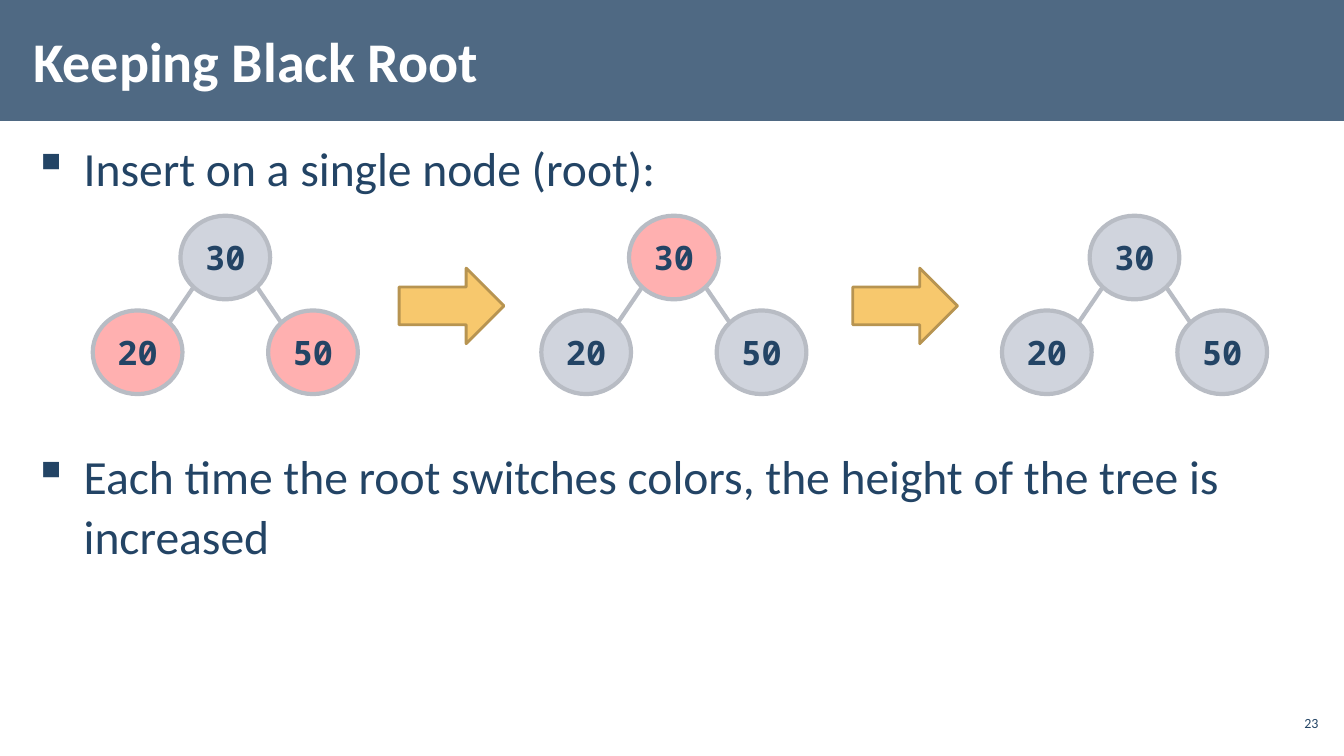
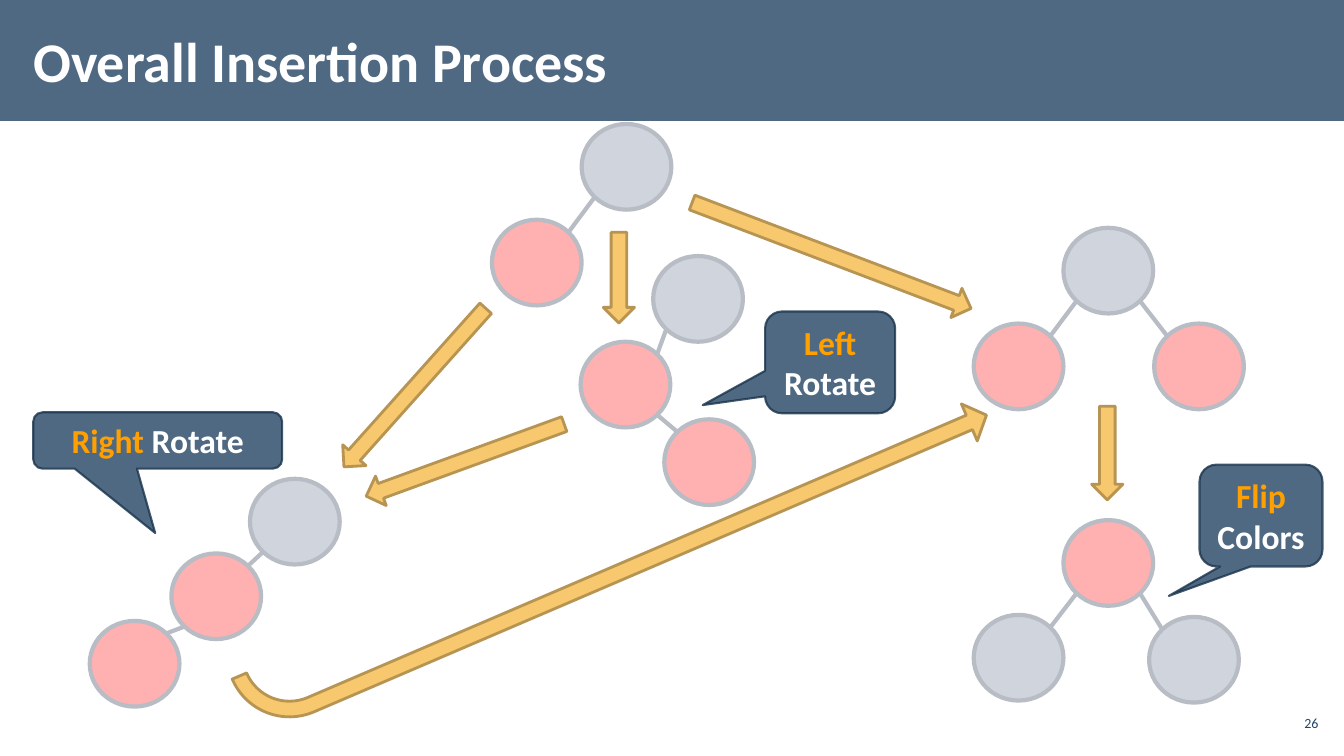
from lxml import etree
from pptx import Presentation
from pptx import util as u
from pptx.dml.color import RGBColor
from pptx.enum import shapes, text
from pptx.oxml.ns import qn

PX = 9144  # 100 px to the inch
DIAGONAL = 0.707  # where a circle meets its 45 degree radius
COLORS = {
    "navy": "234465", "navy_edge": "1A334C", "white": "FFFFFF",
    "red": "FFB0B0", "black": "A3ABBC", "node_edge": "B8BCC4",
    "arrow": "F7C86D", "arrow_edge": "B79451", "accent": "FFA000",
}
FONTS = {
    "title": dict(name="Calibri", size=u.Pt(40), bold=True),
    "body": dict(name="Calibri", size=u.Pt(34)),
    "page": dict(name="Calibri", size=u.Pt(10)),
    "key": dict(name="Noto Sans Mono", size=u.Pt(24), bold=True),
    "callout": dict(name="Calibri", size=u.Pt(24), bold=True),
}
MARGINS = {
    "wide": dict(margin_left=12, margin_right=12, margin_top=4, margin_bottom=4),
    "tight": dict(margin_left=4, margin_right=4, margin_top=4, margin_bottom=4),
}
ALPHA = {"black": 50, "navy": 80, "navy_edge": 80}
MIDDLE = text.MSO_ANCHOR.MIDDLE
KIND = shapes.MSO_SHAPE


def emu(*lengths):
    return [u.Emu(round(length * PX)) for length in lengths]


def apply(target, values):
    for name, value in values.items():
        setattr(target, name, value)


def paint(fill, color):
    """Fill solidly, with the transparency that belongs to the colour."""
    fill.solid()
    fill.fore_color.rgb = RGBColor.from_string(COLORS[color])


def add_alpha(shape, colors):
    for color_xml in shape._element.spPr.iter(qn("a:srgbClr")):
        for color in colors:
            if color in ALPHA and color_xml.get("val") == COLORS[color]:
                alpha = etree.SubElement(color_xml, qn("a:alpha"))
                alpha.set("val", str(ALPHA[color] * 1000))


def add_figure(slide, kind, box, fill, edge=None, width=0):
    figure = slide.shapes.add_shape(kind, *emu(*box))
    figure.shadow.inherit = False
    paint(figure.fill, fill)
    if edge:
        paint(figure.line.fill, edge)
        figure.line.width = u.Pt(width)
    else:
        figure.line.fill.background()
    add_alpha(figure, [fill, edge])
    return figure


def add_run(paragraph, words, font, color):
    run = paragraph.add_run()
    run.text = words
    apply(run.font, FONTS[font])
    run.font.color.rgb = RGBColor.from_string(COLORS[color])


def add_frame(slide, box, margins, **values):
    frame = slide.shapes.add_textbox(*emu(*box)).text_frame
    frame.word_wrap = True
    apply(frame, {side: emu(px)[0] for side, px in MARGINS[margins].items()})
    apply(frame, values)
    return frame


def add_slide(deck, title, page):
    slide = deck.slides.add_slide(deck.slide_layouts[6])
    add_figure(slide, KIND.RECTANGLE, (0, 0, 1333.33, 120), "navy")
    heading = add_frame(slide, (21, 11, 1040, 97), "wide", vertical_anchor=MIDDLE)
    add_run(heading.paragraphs[0], title, "title", "white")
    number = add_frame(slide, (1265, 700, 47, 34), "tight", vertical_anchor=MIDDLE)
    number.paragraphs[0].alignment = text.PP_ALIGN.RIGHT
    add_run(number.paragraphs[0], str(page), "page", "navy")
    return slide


def add_bullets(slide, box, bullets):
    """Place (words, points of space before) pairs as a bulleted list."""
    frame = add_frame(slide, box, "wide")
    for index, (words, before) in enumerate(bullets):
        paragraph = frame.add_paragraph() if index else frame.paragraphs[0]
        apply(paragraph, dict(line_spacing=1.05, space_before=u.Pt(before),
                              space_after=u.Pt(6)))
        properties = paragraph._p.get_or_add_pPr()
        properties.set("marL", str(50 * PX))
        properties.set("indent", str(-50 * PX))
        etree.SubElement(properties, qn("a:buChar")).set("char", "▪")
        add_run(paragraph, words, "body", "navy")


def add_edge(slide, parent, child, size):
    """Join a parent's lower corner to the facing upper corner of its child."""
    side = 1 if child[0] > parent[0] else -1
    width, height = size
    reach_x, reach_y = side * DIAGONAL * width / 2, DIAGONAL * height / 2
    start = (parent[0] + width / 2 + reach_x, parent[1] + height / 2 + reach_y)
    end = (child[0] + width / 2 - reach_x, child[1] + height / 2 - reach_y)
    edge = slide.shapes.add_connector(shapes.MSO_CONNECTOR.STRAIGHT, *emu(*start, *end))
    paint(edge.line.fill, "node_edge")
    edge.line.width = u.Pt(3)
    etree.SubElement(edge._element.spPr, qn("a:effectLst"))


def add_tree(slide, origin, nodes, edges, size):
    """Draw nodes (x, y, colour, key) and edges (parent, child) from an origin."""
    places = [(origin[0] + x, origin[1] + y) for x, y, _, _ in nodes]
    for parent, child in edges:
        add_edge(slide, places[parent], places[child], size)
    for place, (_, _, color, key) in zip(places, nodes):
        node = add_figure(slide, KIND.OVAL, (*place, *size), color, "node_edge", 3)
        if key:
            frame = node.text_frame
            apply(frame, dict(word_wrap=False, vertical_anchor=MIDDLE))
            frame.paragraphs[0].alignment = text.PP_ALIGN.CENTER
            add_run(frame.paragraphs[0], key, "key", "navy")


def add_arrow(slide, box, rotation=0, kind=KIND.RIGHT_ARROW):
    arrow = add_figure(slide, kind, box, "arrow", "arrow_edge", 2)
    arrow.rotation = rotation
    return arrow


def add_callout(slide, box, tip, lines):
    callout = add_figure(slide, KIND.ROUNDED_RECTANGULAR_CALLOUT, box,
                         "navy", "navy_edge", 1.5)
    callout.adjustments[0], callout.adjustments[1] = tip
    frame = callout.text_frame
    apply(frame, dict(word_wrap=True, vertical_anchor=MIDDLE))
    for index, runs in enumerate(lines):
        paragraph = frame.add_paragraph() if index else frame.paragraphs[0]
        paragraph.alignment = text.PP_ALIGN.CENTER
        for words, color in runs:
            add_run(paragraph, words, "callout", color)


def build_black_root(deck):
    slide = add_slide(deck, "Keeping Black Root", 23)
    add_bullets(slide, (21, 131, 1292, 569), [
        ("Insert on a single node (root):", 0),
        ("Each time the root switches colors, the height of the tree is increased", 171),
    ])
    stages = [(92, "black", "red"), (537, "red", "black"), (994, "black", "black")]
    for left, root, leaf in stages:
        nodes = [(87, 0, root, "30"), (0, 94, leaf, "20"), (174, 94, leaf, "50")]
        add_tree(slide, (left, 214), nodes, [(0, 1), (0, 2)], (89, 83))
    for left in (396, 846):
        add_arrow(slide, (left, 266, 104, 75))


def build_insertion(deck):
    slide = add_slide(deck, "Overall Insertion Process", 26)
    chain, fork = [(0, 1), (1, 2)], [(0, 1), (0, 2)]
    trees = [
        ((488, 123), [(89, 0, "black"), (0, 95, "red")], [(0, 1)]),
        ((89, 475), [(159, 0, "black"), (81, 74, "red"), (0, 141, "red")], chain),
        ((576, 254), [(72, 0, "black"), (0, 85, "red"), (83, 162, "red")], chain),
        ((966, 226), [(89, 0, "black"), (0, 95, "red"), (179, 95, "red")], fork),
        ((966, 516), [(89, 0, "red"), (0, 94, "black"), (174, 96, "black")], fork),
    ]
    for origin, nodes, edges in trees:
        add_tree(slide, origin, [(*node, None) for node in nodes], edges, (89, 85))

    for left, top, length, rotation in [
        (677, 238, 296, 20.8), (306, 369, 211, 131.8), (569, 260, 90, 90),
        (357, 441, 209, 160), (1052, 434, 93, 90),
    ]:
        add_arrow(slide, (left, top, length, 31), rotation)
    bend = add_arrow(slide, (213, 515, 791, 74), 336.8, KIND.BENT_ARROW)
    bend._element.spPr.find(qn("a:xfrm")).set("flipV", "1")
    for index, value in enumerate((0.21, 0.27, 0.25, 0.86)):
        bend.adjustments[index] = value

    add_callout(slide, (33, 409, 247, 56), (-0.01, 1.64),
                [[("Right", "accent"), (" Rotate", "white")]])
    add_callout(slide, (759, 309, 129, 101), (-0.98, 0.42),
                [[("Left", "accent")], [("Rotate", "white")]])
    add_callout(slide, (1190, 461, 122, 101), (-0.75, 0.79),
                [[("Flip", "accent")], [("Colors", "white")]])


def main():
    deck = Presentation()
    deck.slide_width, deck.slide_height = emu(1333.33, 750)
    build_black_root(deck)
    build_insertion(deck)
    deck.save("out.pptx")


if __name__ == "__main__":
    main()
